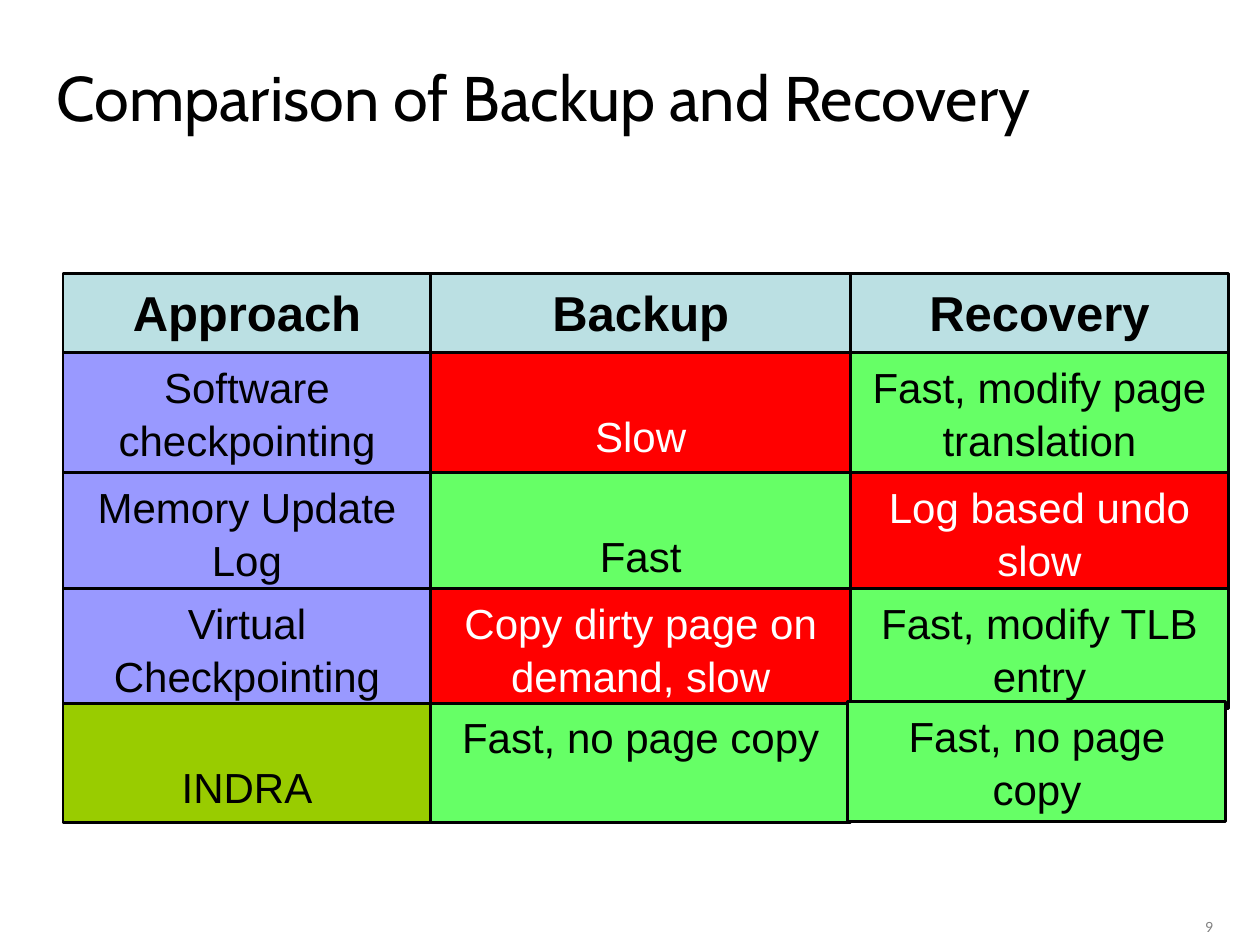
from dataclasses import dataclass

from pptx import Presentation
from pptx.dml.color import RGBColor
from pptx.enum.shapes import MSO_SHAPE
from pptx.enum.text import MSO_ANCHOR, PP_ALIGN
from pptx.slide import Slide
from pptx.util import Inches, Pt

BLACK = RGBColor(0x00, 0x00, 0x00)
WHITE = RGBColor(0xFF, 0xFF, 0xFF)
GRAY = RGBColor(0x80, 0x80, 0x80)
PALE_BLUE = RGBColor(0xBB, 0xE0, 0xE3)
VIOLET = RGBColor(0x99, 0x99, 0xFF)
RED = RGBColor(0xFF, 0x00, 0x00)
GREEN = RGBColor(0x66, 0xFF, 0x66)
OLIVE = RGBColor(0x99, 0xCC, 0x00)

TITLE_FONT = {"name": "Cabin", "size": Pt(36)}
HEADER_FONT = {"name": "Arial", "size": Pt(28), "bold": True}
CELL_FONT = {"name": "Arial", "size": Pt(24)}
NUMBER_FONT = {"name": "Lato", "size": Pt(8)}

COLUMNS = [(0.5, 2.92), (3.42, 3.33), (6.75, 3)]
ROW_TOPS = [2.8, 3.75, 4.67, 5.58]
HEADER_TOP, HEADER_HEIGHT, ROW_HEIGHT = 2.17, 0.63, 0.95
LAST_CELL_PLACE = (6.73, 5.57, 3, ROW_HEIGHT)

TOP, BOTTOM = MSO_ANCHOR.TOP, MSO_ANCHOR.BOTTOM
HEADERS = ["Approach", "Backup", "Recovery"]
ROWS = [
    [("Software checkpointing", VIOLET, TOP), ("Slow", RED, BOTTOM),
     ("Fast, modify page translation", GREEN, TOP)],
    [("Memory Update\nLog", VIOLET, TOP), ("Fast", GREEN, BOTTOM),
     ("Log based undo slow", RED, TOP)],
    [("Virtual Checkpointing", VIOLET, TOP),
     ("Copy dirty page on demand, slow", RED, TOP),
     ("Fast, modify TLB entry", GREEN, TOP)],
    [("INDRA", OLIVE, BOTTOM), ("Fast, no page copy", GREEN, TOP),
     ("Fast, no page copy", GREEN, TOP)],
]


@dataclass
class SlideBuilder:
    """Holds the current slide and the shared style of its elements."""

    page: Slide
    line_width: float = 1.64
    line_spacing: float = 1.05

    def fill_text(self, box, text, font, color, align, anchor):
        frame = box.text_frame
        frame.text = text
        frame.word_wrap = True
        frame.vertical_anchor = anchor
        for para in frame.paragraphs:
            para.alignment = align
            for name, value in font.items():
                setattr(para.font, name, value)
            para.font.color.rgb = color
        return frame

    def title(self, text, place):
        box = self.page.shapes.title
        box.left, box.top, box.width, box.height = map(Inches, place)
        self.fill_text(box, text, TITLE_FONT, BLACK, PP_ALIGN.LEFT, MSO_ANCHOR.MIDDLE)

    def cell(self, text, place, fill, font, anchor=TOP):
        box = self.page.shapes.add_shape(MSO_SHAPE.RECTANGLE, *map(Inches, place))
        box.shadow.inherit = False
        box.fill.solid()
        box.fill.fore_color.rgb = fill
        box.line.color.rgb = BLACK
        box.line.width = Pt(self.line_width)
        color = WHITE if fill == RED else BLACK
        frame = self.fill_text(box, text, font, color, PP_ALIGN.CENTER, anchor)
        if anchor == BOTTOM:
            frame.margin_bottom = Inches(0.09)
        for para in frame.paragraphs:
            para.line_spacing = self.line_spacing

    def page_number(self, text, place):
        box = self.page.shapes.add_textbox(*map(Inches, place))
        self.fill_text(box, text, NUMBER_FONT, GRAY, PP_ALIGN.RIGHT, TOP)


def main():
    deck = Presentation()
    deck.slide_width, deck.slide_height = Inches(10), Inches(7.5)
    builder = SlideBuilder(deck.slides.add_slide(deck.slide_layouts[5]))
    builder.title("Comparison of Backup and Recovery", (0.35, 0.35, 9, 0.83))

    for header, (left, width) in zip(HEADERS, COLUMNS):
        place = (left, HEADER_TOP, width, HEADER_HEIGHT)
        builder.cell(header, place, PALE_BLUE, HEADER_FONT)

    for row, top in zip(ROWS, ROW_TOPS):
        for (text, fill, anchor), (left, width) in zip(row, COLUMNS):
            is_last = row is ROWS[-1] and left == COLUMNS[-1][0]
            place = LAST_CELL_PLACE if is_last else (left, top, width, ROW_HEIGHT)
            builder.cell(text, place, fill, CELL_FONT, anchor)

    builder.page_number("9", (9.07, 7.24, 0.66, 0.17))
    deck.save("out.pptx")


if __name__ == "__main__":
    main()
